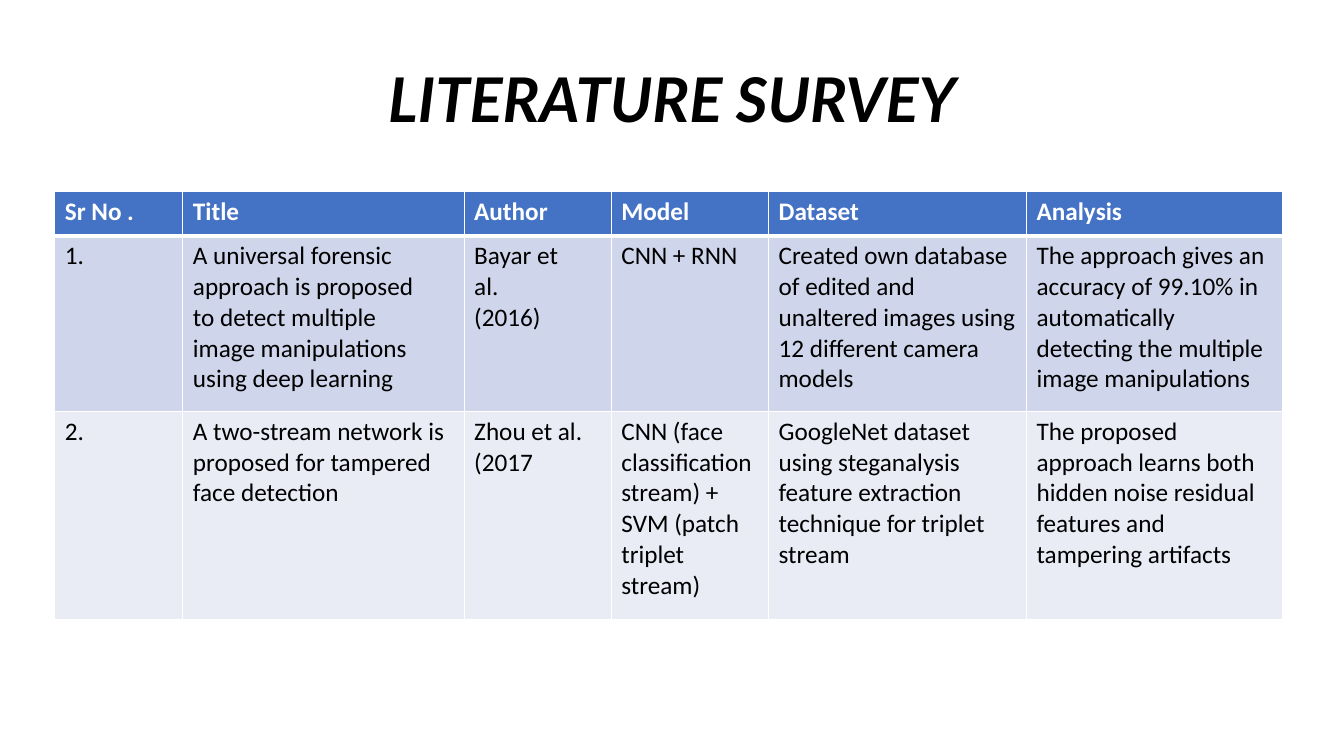
from dataclasses import dataclass

from lxml import etree
from pptx import Presentation, util as u
from pptx.dml.color import RGBColor
from pptx.enum import text
from pptx.oxml.ns import qn


@dataclass(frozen=True)
class Theme:
    title_font: str = "Lato"
    body_font: str = "Calibri"
    title_size: int = 44
    body_size: int = 18
    ink: str = "000000"
    paper: str = "FFFFFF"
    header: str = "4472C4"
    bands: tuple = ("CFD5EA", "E9EBF5")
    rule: int = 1
    header_rule: int = 3


class SurveySlide:
    def __init__(self, deck, theme):
        self.theme = theme
        self.width, self.height = deck.slide_width, deck.slide_height
        self.slide = deck.slides.add_slide(deck.slide_layouts[6])

    def across(self, share):
        return u.Emu(round(self.width * share / 100))

    def down(self, share):
        return u.Emu(round(self.height * share / 100))

    def add_words(self, paragraph, words, font, size, color, bold=False, italic=False):
        run = paragraph.add_run()
        run.text = words
        run.font.name = font
        run.font.size = u.Pt(size)
        run.font.bold = bold
        run.font.italic = italic
        run.font.color.rgb = RGBColor.from_string(color)

    def title(self, words, left, top, width, height):
        heading = self.slide.shapes.add_textbox(
            self.across(left), self.down(top), self.across(width), self.down(height)
        ).text_frame
        heading.word_wrap = True
        heading.vertical_anchor = text.MSO_ANCHOR.MIDDLE
        line = heading.paragraphs[0]
        line.alignment = text.PP_ALIGN.CENTER
        line.line_spacing = 0.9
        self.add_words(line, words, self.theme.title_font, self.theme.title_size,
                       self.theme.ink, bold=True, italic=True)

    def border(self, cell, side, points):
        edge = etree.SubElement(cell._tc.get_or_add_tcPr(), qn(f"a:ln{side}"),
                                w=str(u.Pt(points)))
        paint = etree.SubElement(edge, qn("a:solidFill"))
        etree.SubElement(paint, qn("a:srgbClr"), val=self.theme.paper)

    def cell(self, cell, lines, row):
        theme, is_header = self.theme, row == 0
        for side in "LRTB":
            heavy = (row, side) in ((0, "B"), (1, "T"))
            self.border(cell, side, theme.header_rule if heavy else theme.rule)
        cell.fill.solid()
        fill = theme.header if is_header else theme.bands[(row - 1) % 2]
        cell.fill.fore_color.rgb = RGBColor.from_string(fill)
        for index, words in enumerate(lines.split("\n")):
            frame = cell.text_frame
            paragraph = frame.add_paragraph() if index else frame.paragraphs[0]
            self.add_words(paragraph, words, theme.body_font, theme.body_size,
                           theme.paper if is_header else theme.ink, bold=is_header)

    def table(self, records, left, top, widths, heights):
        grid = self.slide.shapes.add_table(
            len(heights), len(widths), self.across(left), self.down(top),
            self.across(sum(widths)), self.down(sum(heights))
        ).table
        for column, width in zip(grid.columns, widths):
            column.width = self.across(width)
        for row, height in zip(grid.rows, heights):
            row.height = self.down(height)
        for row, record in enumerate(records):
            for column, lines in enumerate(record):
                self.cell(grid.cell(row, column), lines, row)


SURVEY = [
    ("Sr No .", "Title", "Author", "Model", "Dataset", "Analysis"),
    (
        "1.",
        "A universal forensic approach is proposed\nto detect multiple\n"
        "image manipulations\nusing deep learning",
        "Bayar et\nal.\n(2016)",
        "CNN + RNN",
        "Created own database of edited and unaltered images using "
        "12 different camera models",
        "The approach gives an accuracy of 99.10% in automatically "
        "detecting the multiple image manipulations",
    ),
    (
        "2.",
        "A two-stream network is proposed for tampered face detection",
        "Zhou et al. (2017",
        "CNN (face classification stream) + SVM (patch triplet stream)",
        "GoogleNet dataset using steganalysis feature extraction "
        "technique for triplet stream",
        "The proposed approach learns both hidden noise residual "
        "features and tampering artifacts",
    ),
]


def main():
    deck = Presentation()
    deck.slide_width, deck.slide_height = u.Inches(13.33), u.Inches(7.5)
    survey = SurveySlide(deck, Theme())
    survey.title("LITERATURE SURVEY", left=6.9, top=5.33, width=86.27, height=16.4)
    survey.table(SURVEY, left=4.08, top=25.33,
                 widths=(9.53, 20.93, 10.95, 11.7, 19.2, 19.05),
                 heights=(5.87, 23.2, 27.6))
    deck.save("out.pptx")


if __name__ == "__main__":
    main()
